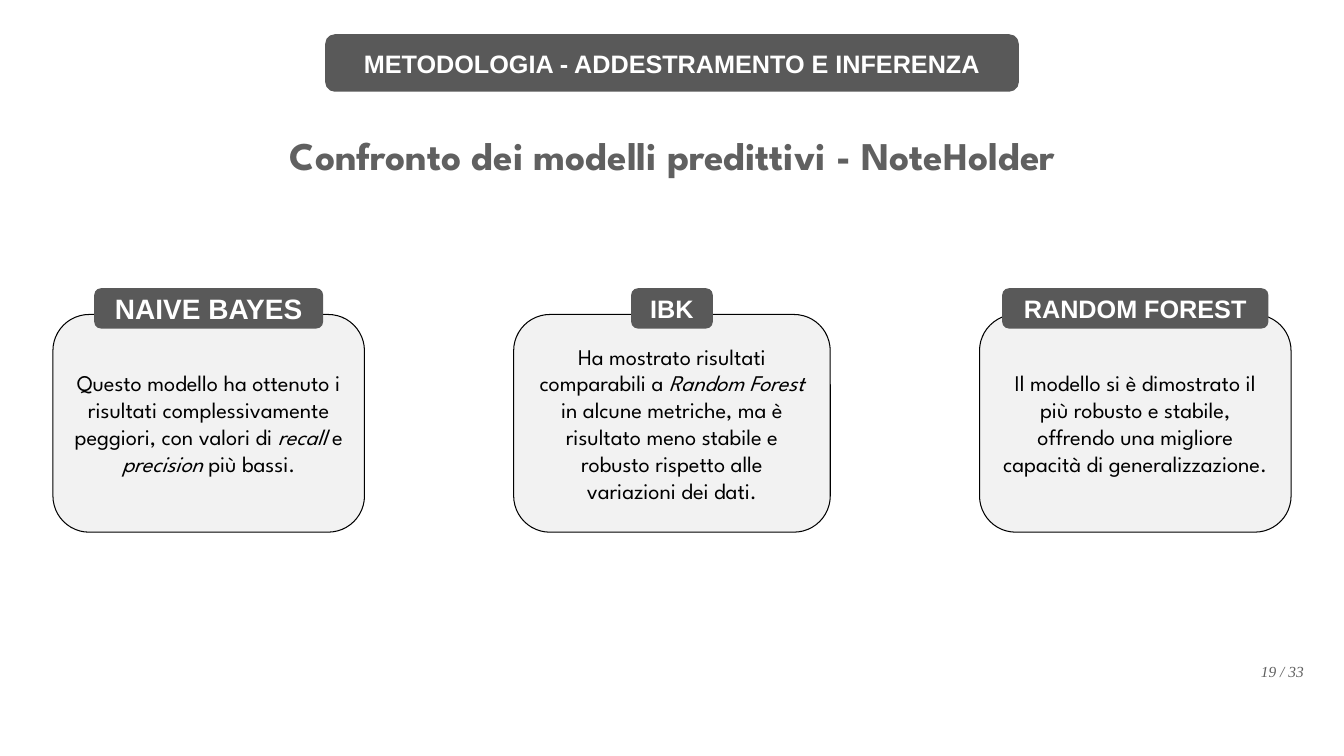
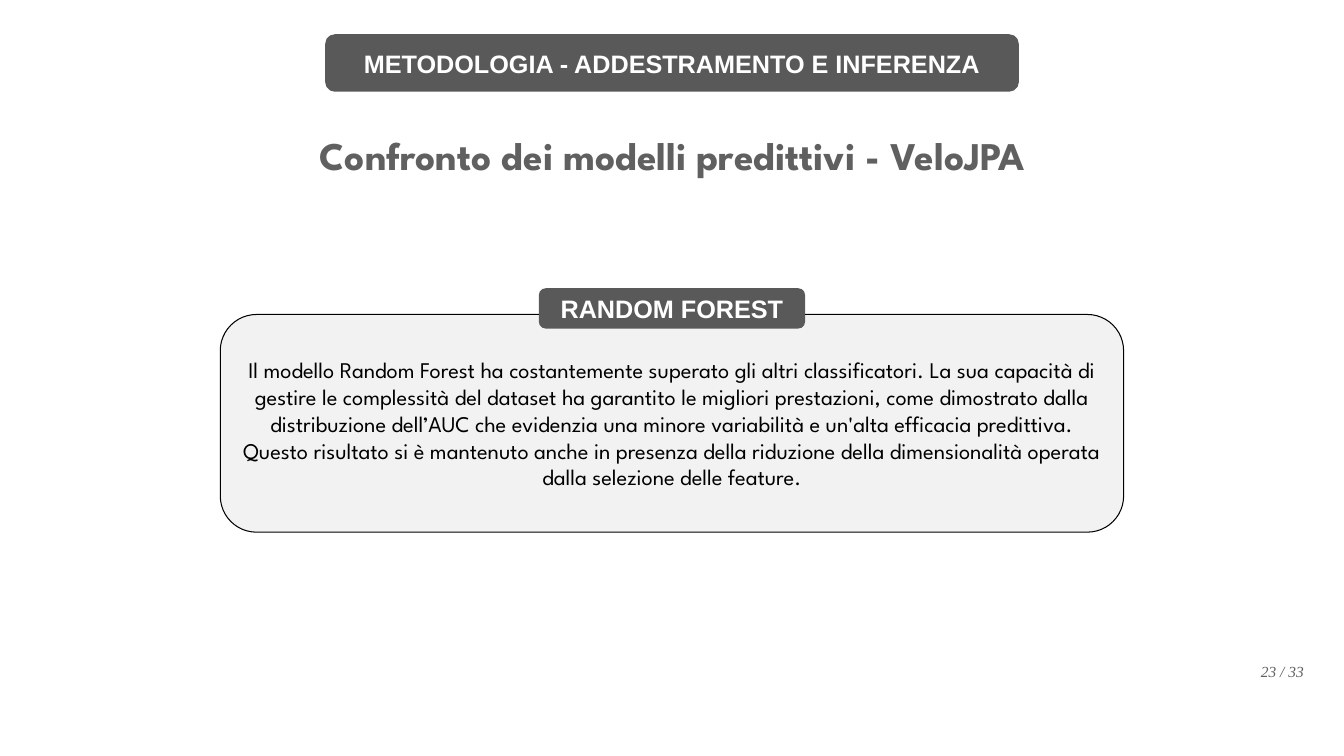
from pptx import Presentation
from pptx.dml.color import RGBColor
from pptx.enum.shapes import MSO_SHAPE as Kind
from pptx.enum.text import MSO_ANCHOR as Anchor, MSO_AUTO_SIZE as Fit, PP_ALIGN as Align
from pptx.util import Inches, Pt

WIDE, HIGH = 13.33, 7.5
GAP = 1.48
CARD_TOP, CARD_HIGH = 3.12, 2.16
TAG_HIGH = 0.4
TOTAL = 33
HEADER = "METODOLOGIA - ADDESTRAMENTO E INFERENZA"
TOPIC = "Confronto dei modelli predittivi - "

HEX = {"dark": "595959", "grey": "606060", "pale": "F2F2F2",
       "ink": "000000", "white": "FFFFFF"}
STYLE = {
    "title": {"name": "League Spartan", "size": 28, "bold": True, "color": "grey"},
    "body": {"name": "League Spartan", "size": 16, "color": "ink"},
    "tag": {"name": "Arial", "size": 18, "bold": True, "color": "white"},
    "page": {"name": "Times New Roman", "size": 11, "italic": True, "color": "grey"},
}

# Each card: width, tag, tag width, tag text size, text (*italic* between stars)
SLIDES = [
    ("NoteHolder", 19, [
        (3.09, "NAIVE BAYES", 2.27, 20,
         "Questo modello ha ottenuto i risultati complessivamente peggiori, "
         "con valori di *recall* e *precision* più bassi."),
        (3.14, "IBK", 0.81, 18,
         "Ha mostrato risultati comparabili a *Random Forest *in alcune metriche, "
         "ma è risultato meno stabile e robusto rispetto alle variazioni dei dati."),
        (3.09, "RANDOM FOREST", 2.64, 18,
         "Il modello si è dimostrato il più robusto e stabile, offrendo una "
         "migliore capacità di generalizzazione."),
    ]),
    ("VeloJPA", 23, [
        (8.96, "RANDOM FOREST", 2.64, 18,
         "Il modello Random Forest ha costantemente superato gli altri "
         "classificatori. La sua capacità di gestire le complessità del dataset "
         "ha garantito le migliori prestazioni, come dimostrato dalla "
         "distribuzione dell’AUC che evidenzia una minore variabilità e un'alta "
         "efficacia predittiva. Questo risultato si è mantenuto anche in presenza "
         "della riduzione della dimensionalità operata dalla selezione delle "
         "feature."),
    ]),
]


def rgb(key):
    return RGBColor.from_string(HEX[key])


def write(shape, text, style, align=Align.CENTER, anchor=Anchor.MIDDLE, **extra):
    """Fill a shape with one paragraph; parts between stars are italic."""
    frame = shape.text_frame
    frame.word_wrap, frame.auto_size = True, Fit.NONE
    frame.vertical_anchor = anchor
    para = frame.paragraphs[0]
    para.alignment = align
    look = {**STYLE[style], **extra}
    for i, part in enumerate(text.split("*")):
        run = para.add_run()
        run.text = part
        for key, value in look.items():
            if key == "color":
                run.font.color.rgb = rgb(value)
            else:
                setattr(run.font, key, Pt(value) if key == "size" else value)
        if i % 2:
            run.font.italic = True


def panel(shapes, box, fill, line=None):
    shape = shapes.add_shape(Kind.ROUNDED_RECTANGLE, *map(Inches, box))
    shape.shadow.inherit = False
    shape.fill.solid()
    shape.fill.fore_color.rgb = rgb(fill)
    if line:
        shape.line.color.rgb = rgb(line)
        shape.line.width = Pt(0.75)
    else:
        shape.line.fill.background()
    return shape


def card(slide, box, tag, span, size, text):
    """Rounded box with a tag centred over its top edge."""
    left, top, wide, high = box
    group = slide.shapes.add_group_shape().shapes
    write(panel(group, box, "pale", "ink"), text, "body")
    spot = (left + (wide - span) / 2, top - TAG_HIGH * 0.65, span, TAG_HIGH)
    write(panel(group, spot, "dark"), tag, "tag", size=size)


def row(slide, cards):
    """Cards side by side with equal gaps, centred on the slide."""
    left = (WIDE - sum(c[0] for c in cards) - GAP * (len(cards) - 1)) / 2
    for wide, *parts in cards:
        card(slide, (left, CARD_TOP, wide, CARD_HIGH), *parts)
        left += wide + GAP


def frame(slide, name, page):
    """Title, header band and page number."""
    title = slide.shapes.title
    spot = {"left": 1.76, "top": 1.25, "width": 9.82, "height": 0.57}
    for key, value in spot.items():
        setattr(title, key, Inches(value))
    write(title, TOPIC + name, "title", anchor=Anchor.TOP)
    band = 6.88
    write(panel(slide.shapes, ((WIDE - band) / 2, 0.34, band, 0.57), "dark"),
          HEADER, "tag")
    foot = slide.shapes.add_textbox(*map(Inches, (12.11, 6.52, 0.92, 0.29)))
    write(foot, f"{page} / {TOTAL}", "page", Align.RIGHT, Anchor.TOP)


def main():
    deck = Presentation()
    deck.slide_width, deck.slide_height = Inches(WIDE), Inches(HIGH)
    for name, page, cards in SLIDES:
        slide = deck.slides.add_slide(deck.slide_layouts[5])
        frame(slide, name, page)
        row(slide, cards)
    deck.save("out.pptx")


if __name__ == "__main__":
    main()
